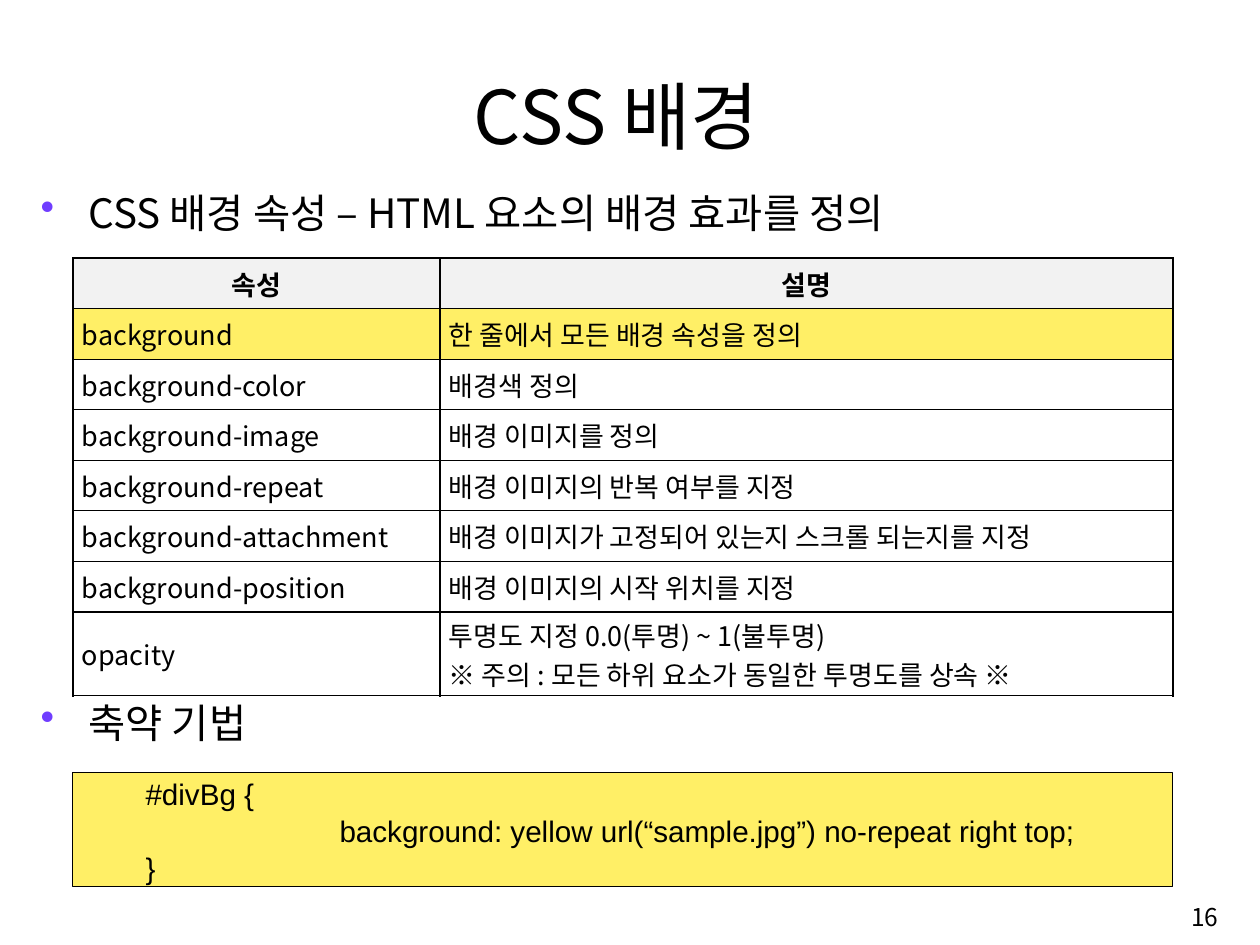
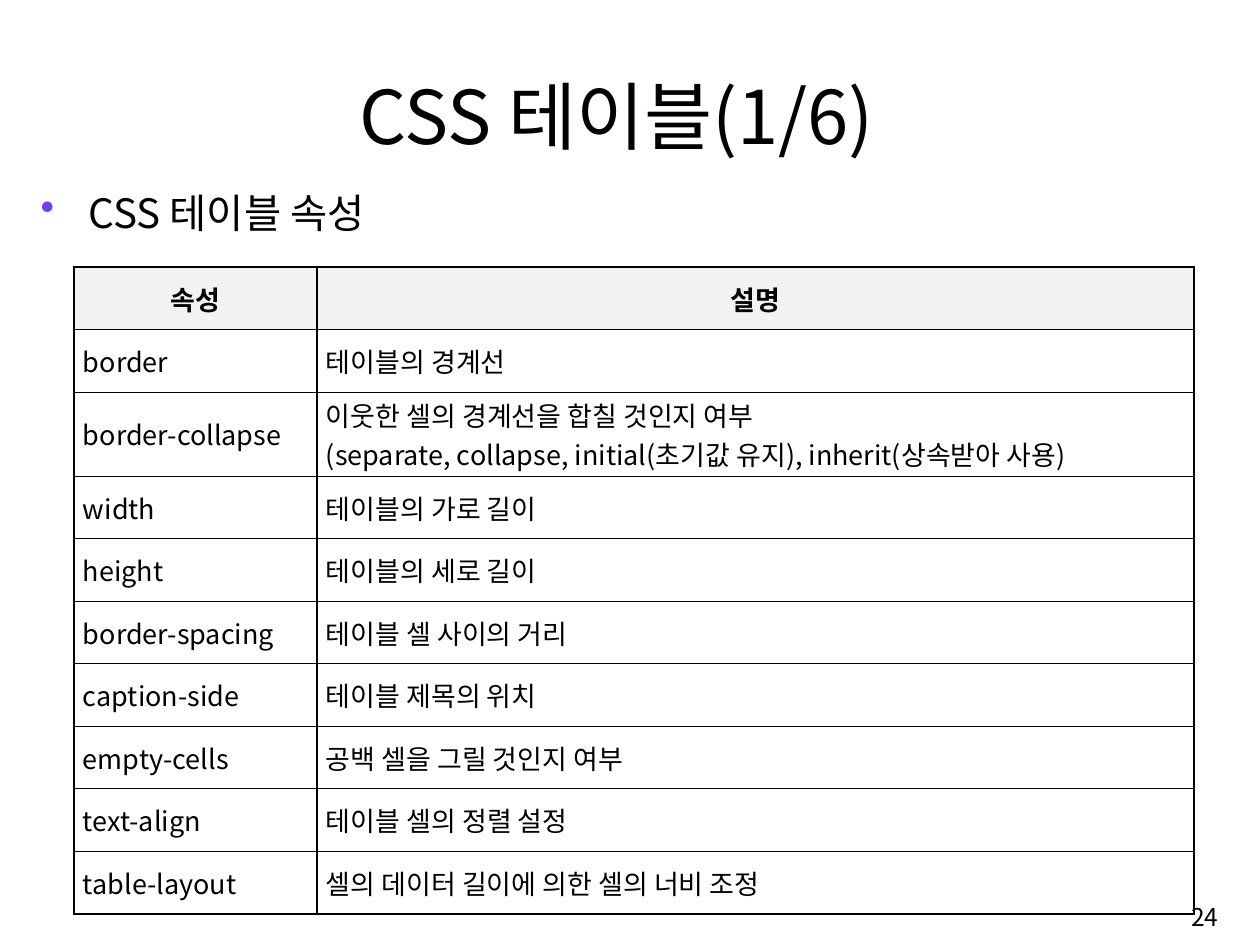
from lxml import etree
from pptx import Presentation
from pptx.dml.color import RGBColor
from pptx.enum.shapes import MSO_SHAPE
from pptx.enum.text import MSO_ANCHOR, PP_ALIGN
from pptx.oxml.ns import qn
from pptx.util import Emu, Pt

# Content
HEADER = ("속성", "설명")
SLIDES = [
    {
        "title": "CSS 배경",
        "number": "16",
        # Each bullet with its top edge
        "bullets": [("CSS 배경 속성 – HTML 요소의 배경 효과를 정의", 183),
                    ("축약 기법", 693)],
        "table": {
            "left": 73, "top": 258, "height": 438, "columns": (367, 733),
            "highlight": "background",
            "rows": [
                ("background", "한 줄에서 모든 배경 속성을 정의"),
                ("background-color", "배경색 정의"),
                ("background-image", "배경 이미지를 정의"),
                ("background-repeat", "배경 이미지의 반복 여부를 지정"),
                ("background-attachment", "배경 이미지가 고정되어 있는지 스크롤 되는지를 지정"),
                ("background-position", "배경 이미지의 시작 위치를 지정"),
                ("opacity", "투명도 지정 0.0(투명) ~ 1(불투명)\n"
                            "※ 주의 : 모든 하위 요소가 동일한 투명도를 상속 ※"),
            ],
        },
        # Each code line with its indent level
        "code": [
            ("#divBg {", 0),
            ("background: yellow url(“sample.jpg”) no-repeat right top;", 1),
            ("}", 0),
        ],
    },
    {
        "title": "CSS 테이블(1/6)",
        "number": "24",
        "bullets": [("CSS 테이블 속성", 183)],
        "table": {
            "left": 74, "top": 267, "height": 647, "columns": (243, 877),
            "highlight": None,
            "rows": [
                ("border", "테이블의 경계선"),
                ("border-collapse", "이웃한 셀의 경계선을 합칠 것인지 여부\n"
                                    "(separate, collapse, initial(초기값 유지), "
                                    "inherit(상속받아 사용)"),
                ("width", "테이블의 가로 길이"),
                ("height", "테이블의 세로 길이"),
                ("border-spacing", "테이블 셀 사이의 거리"),
                ("caption-side", "테이블 제목의 위치"),
                ("empty-cells", "공백 셀을 그릴 것인지 여부"),
                ("text-align", "테이블 셀의 정렬 설정"),
                ("table-layout", "셀의 데이터 길이에 의한 셀의 너비 조정"),
            ],
        },
        "code": [],
    },
]

# Shared style
BLACK = RGBColor(0x00, 0x00, 0x00)
HEADER_GRAY = RGBColor(0xF2, 0xF2, 0xF2)
YELLOW = RGBColor(0xFF, 0xEF, 0x66)
BULLET_PURPLE = RGBColor(0x70, 0x3D, 0xFF)
FONT = "Noto Sans CJK KR"
CODE_FONT = "Arial"
LEFT, CENTER, RIGHT = PP_ALIGN.LEFT, PP_ALIGN.CENTER, PP_ALIGN.RIGHT
JUSTIFY = PP_ALIGN.JUSTIFY
TOP, MIDDLE = MSO_ANCHOR.TOP, MSO_ANCHOR.MIDDLE
RECTANGLE = MSO_SHAPE.RECTANGLE

# Geometry in pixels
SCALE = 914400 / 97
SLIDE_SIZE = (1260, 945)
TITLE_BOX = (102, 62, 1029, 105)
NUMBER_BOX = (968, 888, 260, 58)
BULLET_LEFT, BULLET_WIDTH, BULLET_HEIGHT = 31, 1195, 68
BULLET_INDENT = 48
CODE_BOX = (73, 773, 1100, 114)
CODE_INDENT, CODE_STEP = 63, 194
TALL_ROW = 84
CELL_MARGIN_X, CELL_MARGIN_Y = 9, 3


def px(pixels):
    """Turn pixels into EMU."""
    return Emu(round(pixels * SCALE))


def style_paragraph(paragraph, size, align=LEFT, font=FONT, bold=False):
    """Set alignment and the font of every run of a paragraph."""
    paragraph.alignment = align
    for run in paragraph.runs:
        run.font.size = Pt(size)
        run.font.bold = bold
        run.font.name = font
        run.font.color.rgb = BLACK
        properties = run.font._element
        properties.set("kern", "0")
        etree.SubElement(properties, qn("a:ea")).set("typeface", font)


def add_text(slide, box, text, size, align=LEFT, anchor=MIDDLE):
    """Add a one-paragraph wrapping text box and return the paragraph."""
    text_frame = slide.shapes.add_textbox(*map(px, box)).text_frame
    text_frame.word_wrap = True
    text_frame.vertical_anchor = anchor
    text_frame.text = text
    paragraph = text_frame.paragraphs[0]
    style_paragraph(paragraph, size, align)
    return paragraph


def add_bullet(slide, text, top):
    """Add a line with a hanging purple bullet."""
    box = (BULLET_LEFT, top, BULLET_WIDTH, BULLET_HEIGHT)
    paragraph = add_text(slide, box, text, 30, anchor=TOP)
    properties = paragraph._p.get_or_add_pPr()
    properties.set("marL", str(px(BULLET_INDENT)))
    properties.set("indent", str(-px(BULLET_INDENT)))
    color = etree.SubElement(properties, qn("a:buClr"))
    etree.SubElement(color, qn("a:srgbClr")).set("val", str(BULLET_PURPLE))
    etree.SubElement(properties, qn("a:buChar")).set("char", "•")


def set_borders(cell):
    """Draw a thin black line on all four sides of a cell."""
    properties = cell._tc.get_or_add_tcPr()
    for side in ("a:lnL", "a:lnR", "a:lnT", "a:lnB"):
        line = etree.SubElement(properties, qn(side), w=str(Pt(1)))
        fill = etree.SubElement(line, qn("a:solidFill"))
        etree.SubElement(fill, qn("a:srgbClr")).set("val", str(BLACK))


def fill_cell(cell, text, fill, is_header):
    """Write and format one table cell."""
    cell.text = text
    cell.vertical_anchor = MIDDLE
    cell.margin_left = cell.margin_right = px(CELL_MARGIN_X)
    cell.margin_top = cell.margin_bottom = px(CELL_MARGIN_Y)
    for paragraph in cell.text_frame.paragraphs:
        style_paragraph(paragraph, 20, CENTER if is_header else JUSTIFY, bold=is_header)
    set_borders(cell)
    if fill is None:
        cell.fill.background()
    else:
        cell.fill.solid()
        cell.fill.fore_color.rgb = fill


def add_property_table(slide, left, top, height, columns, highlight, rows):
    """Add the table; two-line rows are tall, the others share the rest."""
    rows = [HEADER, *rows]
    tall = ["\n" in description for _, description in rows]
    plain_height = (height - TALL_ROW * sum(tall)) / tall.count(False)
    frame = slide.shapes.add_table(
        len(rows), len(columns), px(left), px(top), px(sum(columns)), px(height))
    table = frame.table
    table.first_row = table.horz_banding = False
    for column, width in zip(table.columns, columns):
        column.width = px(width)
    for index, texts in enumerate(rows):
        table.rows[index].height = px(TALL_ROW if tall[index] else plain_height)
        fill = None
        if index == 0:
            fill = HEADER_GRAY
        elif texts[0] == highlight:
            fill = YELLOW
        for column, text in enumerate(texts):
            fill_cell(table.cell(index, column), text, fill, index == 0)


def add_code(slide, lines):
    """Add the yellow box with indented code lines."""
    shape = slide.shapes.add_shape(RECTANGLE, *map(px, CODE_BOX))
    shape.shadow.inherit = False
    shape.fill.solid()
    shape.fill.fore_color.rgb = YELLOW
    shape.line.color.rgb = BLACK
    shape.line.width = Pt(0.75)
    text_frame = shape.text_frame
    text_frame.word_wrap = True
    text_frame.vertical_anchor = MIDDLE
    text_frame.text = "\n".join(text for text, _ in lines)
    for paragraph, (_, level) in zip(text_frame.paragraphs, lines):
        style_paragraph(paragraph, 22, font=CODE_FONT)
        paragraph.line_spacing = 1.04
        indent = px(CODE_INDENT + CODE_STEP * level)
        paragraph._p.get_or_add_pPr().set("marL", str(indent))


def build_slide(presentation, content):
    """Build one slide from its content."""
    slide = presentation.slides.add_slide(presentation.slide_layouts[6])
    for text, top in content["bullets"]:
        add_bullet(slide, text, top)
    add_property_table(slide, **content["table"])
    add_text(slide, NUMBER_BOX, content["number"], 18.2, RIGHT)
    add_text(slide, TITLE_BOX, content["title"], 55, CENTER)
    if content["code"]:
        add_code(slide, content["code"])


presentation = Presentation()
presentation.slide_width, presentation.slide_height = map(px, SLIDE_SIZE)
for slide_content in SLIDES:
    build_slide(presentation, slide_content)
presentation.save("out.pptx")
